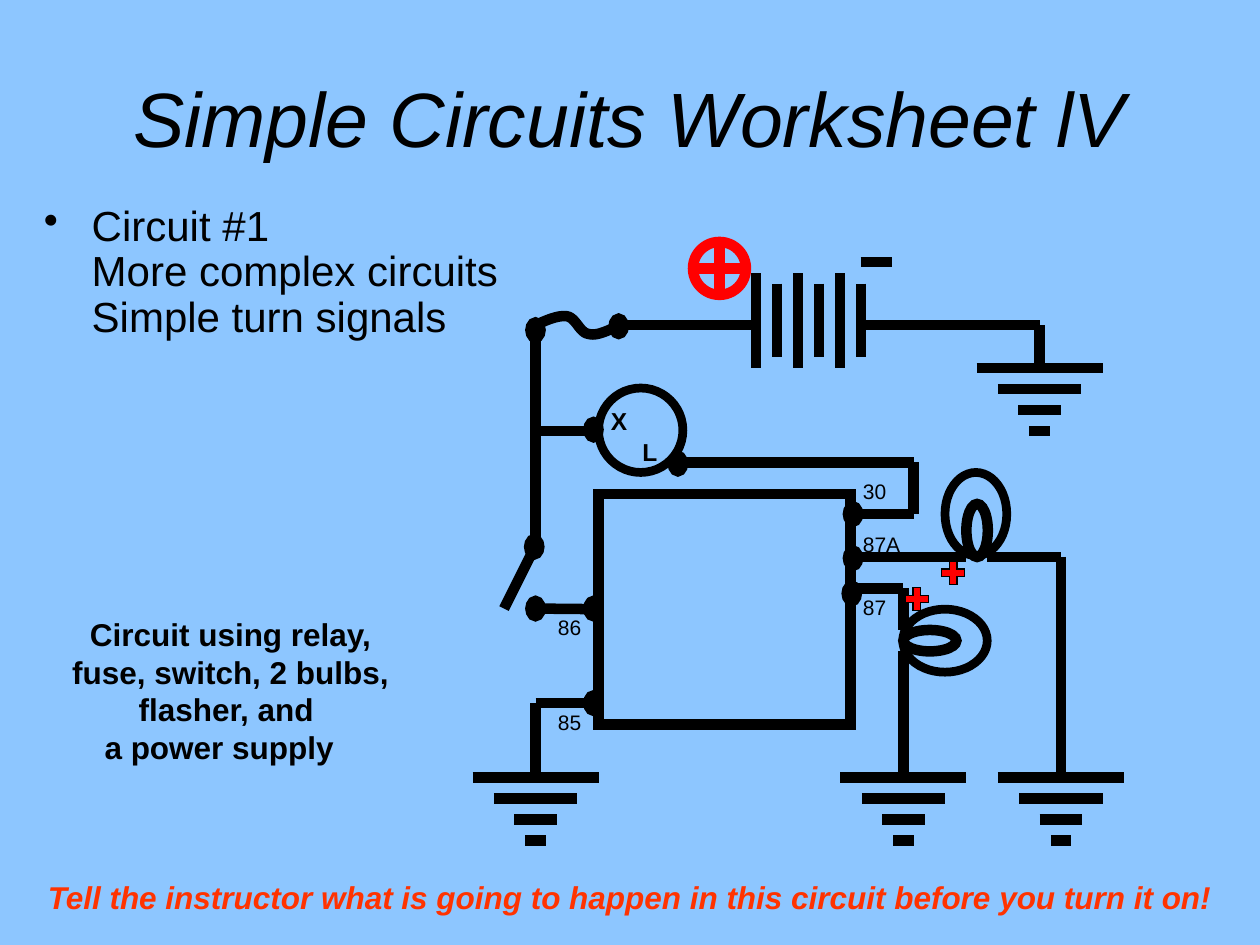
from typing import NamedTuple

import pptx
import pptx.dml.color
import pptx.enum.shapes
import pptx.enum.text
import pptx.oxml
import pptx.oxml.ns
import pptx.util

Inches = pptx.util.Inches
Pt = pptx.util.Pt
RGBColor = pptx.dml.color.RGBColor
Kind = pptx.enum.shapes.MSO_SHAPE
Align = pptx.enum.text.PP_ALIGN

SKY = RGBColor(0x8D, 0xC6, 0xFF)
BLACK = RGBColor(0, 0, 0)
RED = RGBColor(0xFF, 0, 0)
ORANGE = RGBColor(0xFF, 0x33, 0)


class Box(NamedTuple):
    left: float
    top: float
    width: float
    height: float


class Wire(NamedTuple):
    x1: float
    y1: float
    x2: float
    y2: float


class Label(NamedTuple):
    text: str
    box: Box
    size: int = 12
    bold: bool = False


class Part(NamedTuple):
    kind: int
    box: Box
    width: float = 6
    color: RGBColor = BLACK
    fill: RGBColor | None = None
    turn: int = 0


class Spot(NamedTuple):
    x: float
    y: float


LABELS = [
    Label("85", Box(4.33, 5.58, 0.42, 0.3)),
    Label("86", Box(4.33, 4.83, 0.42, 0.3)),
    Label("30", Box(6.75, 3.75, 0.42, 0.3)),
    Label("87A", Box(6.75, 4.17, 0.58, 0.3)),
    Label("87", Box(6.75, 4.67, 0.42, 0.3)),
    Label("X", Box(4.75, 3.17, 0.33, 0.33), 14, True),
    Label("L", Box(5, 3.42, 0.33, 0.33), 14, True),
]
RELAY = Part(Kind.RECTANGLE, Box(4.75, 3.92, 2, 1.83))
COIL = Wire(4.25, 4.83, 4.75, 4.83)
WIRES = [
    Wire(6.83, 2.58, 8.25, 2.58),
    Wire(6, 2.58, 4.92, 2.58),
    Wire(6.83, 2.08, 7.08, 2.08),
    Wire(8.25, 2.58, 8.25, 2.92),
    Wire(4.25, 4.33, 4.25, 2.58),
    Wire(4.25, 4.33, 4, 4.83),
    Wire(4.25, 3.42, 4.75, 3.42),
    Wire(4.25, 5.58, 4.75, 5.58),
    Wire(4.25, 5.58, 4.25, 6.17),
    Wire(7.25, 3.67, 5.33, 3.67),
    Wire(7.25, 3.67, 7.25, 4.08),
    Wire(7.25, 4.08, 6.75, 4.08),
    Wire(6.75, 4.42, 7.67, 4.42),
    Wire(7.83, 4.42, 8.42, 4.42),
    Wire(8.42, 4.42, 8.42, 6.17),
    Wire(6.75, 4.67, 7.17, 4.67),
    Wire(7.17, 4.67, 7.17, 5),
    Wire(7.17, 5.17, 7.17, 6.17),
]
GROUNDS = [Spot(8.25, 2.92), Spot(4.25, 6.17), Spot(7.17, 6.17), Spot(8.42, 6.17)]
PARTS = [
    Part(Kind.FLOWCHART_OR, Box(5.5, 1.92, 0.42, 0.42), color=RED),
    Part(Kind.OVAL, Box(7.17, 5, 0.42, 0.17)),
    Part(Kind.OVAL, Box(7.25, 4.75, 0.5, 0.67), 5, turn=90),
    Part(Kind.OVAL, Box(7.5, 3.75, 0.49, 0.66), 5),
    Part(Kind.OVAL, Box(7.67, 4, 0.17, 0.42)),
    Part(Kind.OVAL, Box(4.75, 3.08, 0.67, 0.67), 5),
    Part(Kind.MATH_PLUS, Box(7.44, 4.42, 0.25, 0.25), 0, fill=RED),
    Part(Kind.MATH_PLUS, Box(7.15, 4.63, 0.25, 0.25), 0, fill=RED),
]
DOTS = [
    Spot(4.21, 4.77), Spot(4.21, 2.56), Spot(4.67, 5.52), Spot(4.67, 4.77),
    Spot(4.2, 4.28), Spot(4.87, 2.53), Spot(6.72, 4.65), Spot(6.73, 4.37),
    Spot(6.73, 4.02), Spot(5.34, 3.62), Spot(4.67, 3.35),
]
FUSE = [
    [(4.25, 2.58), (4.34, 2.54), (4.43, 2.5), (4.5, 2.51)],
    [(4.5, 2.51), (4.57, 2.52), (4.6, 2.64), (4.67, 2.65)],
    [(4.67, 2.65), (4.74, 2.67), (4.83, 2.62), (4.92, 2.58)],
]


def node(tag: str, extra: str = ""):
    return pptx.oxml.parse_xml(f'<a:{tag} {pptx.oxml.ns.nsdecls("a")} {extra}/>')


def write(slide, text: str, box: Box, *, size: int, color=BLACK, bold=False,
          italic=False, align=Align.LEFT, middle=False, grow=False,
          bullet=False) -> None:
    frame = slide.shapes.add_textbox(*map(Inches, box)).text_frame
    frame.word_wrap = True
    if grow:
        frame.auto_size = pptx.enum.text.MSO_AUTO_SIZE.SHAPE_TO_FIT_TEXT
    if middle:
        frame.vertical_anchor = pptx.enum.text.MSO_ANCHOR.MIDDLE
    para = frame.paragraphs[0]
    para.text = text
    para.alignment = align
    if bullet:
        para.line_spacing = 0.9
        props = para._p.get_or_add_pPr()
        props.set("marL", str(Inches(0.38)))
        props.set("indent", str(Inches(-0.38)))
        props.append(node("buChar", 'char="•"'))
    for run in para.runs:
        font = run.font
        font.name = "Arial"
        font.size = Pt(size)
        font.bold = bold
        font.italic = italic
        font.color.rgb = color


def ink(shape, part: Part) -> None:
    shape.shadow.inherit = False
    if part.fill is None:
        shape.fill.background()
    else:
        shape.fill.solid()
        shape.fill.fore_color.rgb = part.fill
    shape.line.color.rgb = part.color
    shape.line.width = Pt(part.width)
    shape._element.spPr.find(pptx.oxml.ns.qn("a:ln")).append(
        node("miter", 'lim="800000"'))


def place(slide, part: Part):
    shape = slide.shapes.add_shape(part.kind, *map(Inches, part.box))
    shape.rotation = part.turn
    ink(shape, part)
    return shape


def link(slide, wire: Wire):
    line = slide.shapes.add_connector(
        pptx.enum.shapes.MSO_CONNECTOR.STRAIGHT, *map(Inches, wire))
    line.line.color.rgb = BLACK
    line.line.width = Pt(6)
    line._element.spPr.append(node("effectLst"))
    return line


def ground(slide, spot: Spot) -> None:
    for row, half in enumerate((0.5, 0.33, 0.17, 0.08)):
        y = spot.y + row / 6
        link(slide, Wire(spot.x - half, y, spot.x + half, y))


def curve(a, b, c, d, t: float) -> tuple[int, ...]:
    u = 1 - t
    return tuple(
        Inches(u**3 * p + 3 * u * u * t * q + 3 * u * t * t * r + t**3 * s)
        for p, q, r, s in zip(a, b, c, d))


def fuse(slide) -> None:
    path = slide.shapes.build_freeform(*map(Inches, FUSE[0][0]))
    path.add_line_segments(
        [curve(*bend, i / 12) for bend in FUSE for i in range(1, 13)], close=False)
    ink(path.convert_to_shape(), RELAY)


def main() -> None:
    deck = pptx.Presentation()
    deck.slide_width, deck.slide_height = Inches(10), Inches(7.5)
    slide = deck.slides.add_slide(deck.slide_layouts[6])
    slide.background.fill.solid()
    slide.background.fill.fore_color.rgb = SKY

    write(slide, "Simple Circuits Worksheet lV", Box(0.5, 0.3, 9, 1.25),
          size=44, italic=True, align=Align.CENTER, middle=True)
    write(slide, "Circuit #1 \vMore complex circuits\vSimple turn signals",
          Box(0.25, 1.58, 4.33, 1.55), size=24, bullet=True)
    write(slide, "Circuit using relay, fuse, switch, 2 bulbs, flasher, and \v"
          "a power supply \t", Box(0.33, 4.83, 3, 1.3),
          size=18, bold=True, align=Align.CENTER, grow=True)
    write(slide, "Tell the instructor what is going to happen in this circuit "
          "before you turn it on!", Box(0, 6.92, 10, 0.4), size=18,
          color=ORANGE, bold=True, italic=True, align=Align.CENTER, grow=True)
    for label in LABELS:
        write(slide, label.text, label.box, size=label.size, bold=label.bold, grow=True)

    relay = place(slide, RELAY)
    link(slide, COIL).end_connect(relay, 1)
    for i in range(6):
        top, end = (2.25, 2.83) if i % 2 else (2.17, 2.92)
        link(slide, Wire(6 + i / 6, top, 6 + i / 6, end))
    for wire in WIRES:
        link(slide, wire)
    for spot in GROUNDS:
        ground(slide, spot)
    fuse(slide)
    for part in PARTS:
        place(slide, part)
    for dot in DOTS:
        place(slide, Part(Kind.FLOWCHART_CONNECTOR, Box(*dot, 0.08, 0.12)))
    deck.save("out.pptx")


if __name__ == "__main__":
    main()
